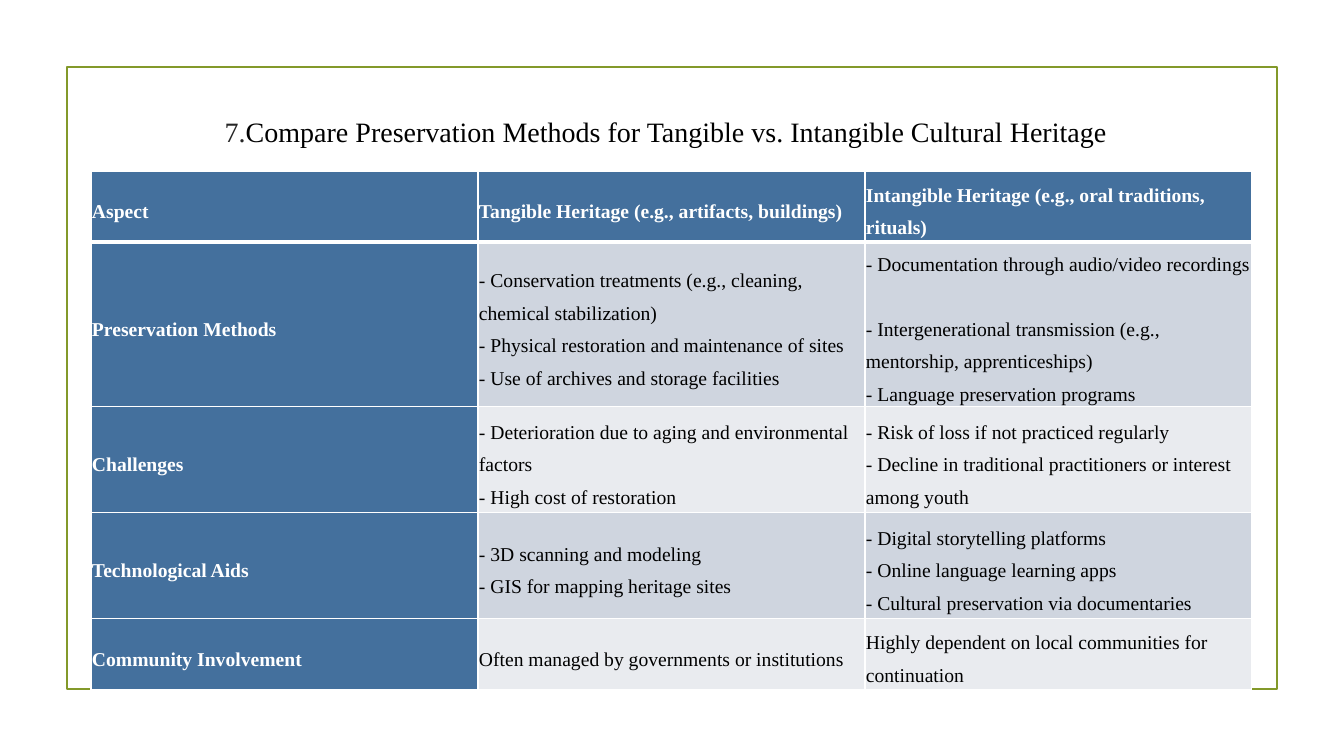
from copy import deepcopy

from lxml.etree import SubElement
from pptx import Presentation
from pptx.dml.color import RGBColor
from pptx.enum.shapes import MSO_SHAPE
from pptx.enum.text import MSO_ANCHOR, PP_ALIGN
from pptx.oxml.ns import qn
from pptx.util import Emu, Pt

FONT = "Times New Roman"
OLIVE = RGBColor(0x83, 0x99, 0x2A)
BLUE = RGBColor(0x44, 0x70, 0x9D)
BAND_DARK = RGBColor(0xCF, 0xD5, 0xDF)
BAND_LIGHT = RGBColor(0xE9, 0xEB, 0xEF)
WHITE = RGBColor(0xFF, 0xFF, 0xFF)
BLACK = RGBColor(0, 0, 0)
CHARCOAL = RGBColor(0x26, 0x26, 0x26)

ROWS = [
    ("Aspect",
     "Tangible Heritage (e.g., artifacts, buildings)",
     "Intangible Heritage (e.g., oral traditions, rituals)"),
    ("Preservation Methods",
     "- Conservation treatments (e.g., cleaning, chemical stabilization) \n"
     "- Physical restoration and maintenance of sites \n"
     "- Use of archives and storage facilities",
     "- Documentation through audio/video recordings \n"
     "- Intergenerational transmission (e.g., mentorship, apprenticeships) \n"
     "- Language preservation programs"),
    ("Challenges",
     "- Deterioration due to aging and environmental factors \n"
     "- High cost of restoration",
     "- Risk of loss if not practiced regularly \n"
     "- Decline in traditional practitioners or interest among youth"),
    ("Technological Aids",
     "- 3D scanning and modeling \n- GIS for mapping heritage sites",
     "- Digital storytelling platforms \n- Online language learning apps \n"
     "- Cultural preservation via documentaries"),
    ("Community Involvement",
     "Often managed by governments or institutions",
     "Highly dependent on local communities for continuation"),
]
ROW_HEIGHTS = [71, 141, 106, 106, 71]
COL_WIDTH = 387


def px(n):
    return Emu(round(n * 914400 / 100.8))


def add_border(cell, side, width):
    ln = SubElement(cell._tc.get_or_add_tcPr(), qn(f"a:ln{side}"), w=str(Pt(width)))
    fill = SubElement(ln, qn("a:solidFill"))
    SubElement(fill, qn("a:srgbClr"), val=str(WHITE))


prs = Presentation()
prs.slide_width, prs.slide_height = px(1344), px(756)
s = prs.slides.add_slide(prs.slide_layouts[5])

# Frame
sp = s.shapes.add_shape(MSO_SHAPE.RECTANGLE, px(67), px(67), px(1210), px(622))
sp.shadow.inherit = False
sp.fill.background()
sp.line.color.rgb = OLIVE
sp.line.width = Pt(1.25)

# Title
title = s.shapes.title
title.left, title.top, title.width, title.height = px(132), px(108), px(1068), px(46)
tf = title.text_frame
tf.word_wrap = True
tf.vertical_anchor = MSO_ANCHOR.MIDDLE
p = tf.paragraphs[0]
p.alignment = PP_ALIGN.CENTER
for text, color in [
    ("7.", CHARCOAL),
    ("Compare Preservation Methods for Tangible vs. Intangible Cultural Heritage", BLACK),
]:
    r = p.add_run()
    r.text = text
    r.font.name, r.font.size = FONT, Pt(20)
    r.font.color.rgb = color

# Comparison table
table = s.shapes.add_table(len(ROWS), 3, px(91), px(171),
                           px(3 * COL_WIDTH), px(sum(ROW_HEIGHTS))).table
table.horz_banding = False
for col in table.columns:
    col.width = px(COL_WIDTH)

for i, (texts, height) in enumerate(zip(ROWS, ROW_HEIGHTS)):
    table.rows[i].height = px(height)
    for j, text in enumerate(texts):
        cell = table.cell(i, j)
        is_header = i == 0 or j == 0

        # Borders come before the fill, with a thick rule under the header
        for side in "LRTB":
            thick = (i, side) in [(0, "B"), (1, "T")]
            add_border(cell, side, 3 if thick else 1)
        cell.fill.solid()
        band = BAND_DARK if i % 2 else BAND_LIGHT
        cell.fill.fore_color.rgb = BLUE if is_header else band
        cell.margin_left = cell.margin_right = px(1)
        cell.margin_top = cell.margin_bottom = px(1)
        cell.vertical_anchor = MSO_ANCHOR.MIDDLE

        p = cell.text_frame.paragraphs[0]
        p.text = text
        p.line_spacing = 1.5
        p.space_after = Pt(8)
        for r in p.runs:
            r.font.name, r.font.size = FONT, Pt(14)
            r.font.bold = is_header
            r.font.color.rgb = WHITE if is_header else BLACK
        # Line breaks take the size of the text around them
        for br in p._p.findall(qn("a:br")):
            br.append(deepcopy(p.runs[0]._r.rPr))

prs.save("out.pptx")
